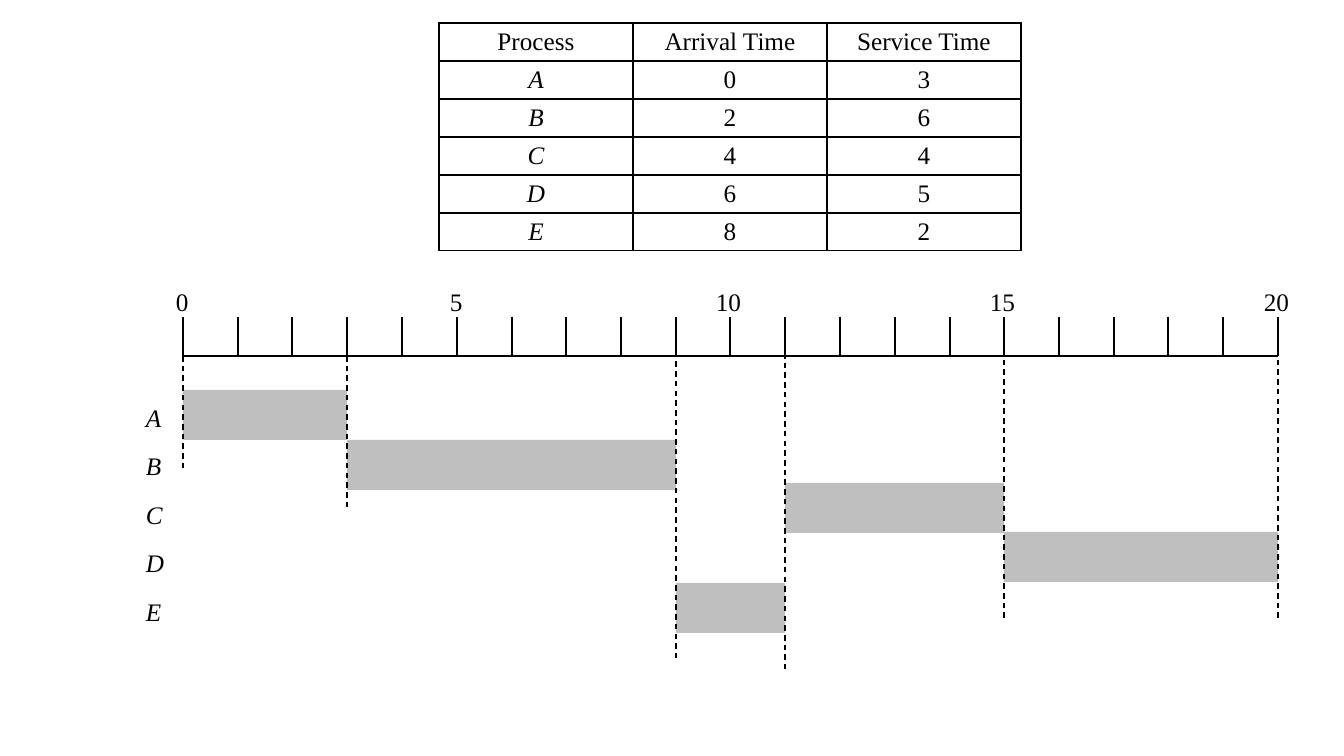
from lxml.etree import SubElement
from pptx import Presentation
from pptx.dml.color import RGBColor
from pptx.enum.dml import MSO_LINE
from pptx.enum.shapes import MSO_CONNECTOR, MSO_SHAPE
from pptx.enum.text import MSO_ANCHOR, PP_ALIGN
from pptx.oxml.ns import qn
from pptx.util import Pt

EMU_PER_PX = 914400 / 100.8
BLACK = "000000"
GREY = "BFBFBF"
FONT = "Times New Roman"

AXIS_LEFT, AXIS_RIGHT, AXIS_Y = 183, 1278, 356
TICK_TOP = 317
LAST_TIME = 20

PROCESSES = [
    ("Process", "Arrival Time", "Service Time"),
    ("A", "0", "3"),
    ("B", "2", "6"),
    ("C", "4", "4"),
    ("D", "6", "5"),
    ("E", "8", "2"),
]
RUNS = [(0, 3, 390), (3, 9, 440), (9, 11, 583), (11, 15, 483), (15, 20, 532)]
GUIDES = [
    (0, 356, 471),
    (3, 356, 507),
    (9, 342, 658),
    (11, 353, 669),
    (15, 350, 619),
    (20, 350, 622),
]


def px(length):
    return round(length * EMU_PER_PX)


def color(value):
    return RGBColor.from_string(value)


def time_x(time):
    return round(AXIS_LEFT + time * (AXIS_RIGHT - AXIS_LEFT) / LAST_TIME)


def write(frame, text, size=18, italic=False, align=PP_ALIGN.LEFT, fill=BLACK):
    paragraph = frame.paragraphs[0]
    paragraph.alignment = align
    run = paragraph.add_run()
    run.text = text
    run.font.name = FONT
    run.font.size = Pt(size)
    run.font.italic = italic
    run.font.color.rgb = color(fill)


def add_label(slide, text, left, top, width, height, **style):
    label = slide.shapes.add_textbox(px(left), px(top), px(width), px(height))
    label.text_frame.word_wrap = True
    write(label.text_frame, text, **style)


def add_line(slide, start, end, weight=1.5, dash=None):
    points = [px(value) for value in (*start, *end)]
    line = slide.shapes.add_connector(MSO_CONNECTOR.STRAIGHT, *points)
    line.line.color.rgb = color(BLACK)
    line.line.width = Pt(weight)
    if dash:
        line.line.dash_style = dash
    SubElement(line._element.spPr, qn("a:effectLst"))


def add_bar(slide, start, end, top):
    left, right = time_x(start), time_x(end)
    bar = slide.shapes.add_shape(
        MSO_SHAPE.RECTANGLE, px(left), px(top), px(right - left), px(50)
    )
    bar.shadow.inherit = False
    bar.fill.solid()
    bar.fill.fore_color.rgb = color(GREY)
    bar.line.fill.background()


def add_borders(cell):
    properties = cell._tc.get_or_add_tcPr()
    for position, side in enumerate(("lnL", "lnR", "lnT", "lnB")):
        border = properties.makeelement(qn(f"a:{side}"), {"w": str(Pt(1))})
        fill = SubElement(border, qn("a:solidFill"))
        SubElement(fill, qn("a:srgbClr"), val=BLACK)
        properties.insert(position, border)


def add_process_table(slide):
    rows, columns = len(PROCESSES), len(PROCESSES[0])
    frame = slide.shapes.add_table(
        rows, columns, px(439), px(23), px(194 * columns), px(38 * rows)
    )
    table = frame.table
    table.first_row = False
    table.horz_banding = False
    for column in table.columns:
        column.width = px(194)
    for row_index, values in enumerate(PROCESSES):
        table.rows[row_index].height = px(38)
        for column_index, value in enumerate(values):
            cell = table.cell(row_index, column_index)
            cell.fill.background()
            cell.margin_top = cell.margin_bottom = 0
            cell.vertical_anchor = MSO_ANCHOR.MIDDLE
            is_name = row_index > 0 and column_index == 0
            write(cell.text_frame, value, italic=is_name, align=PP_ALIGN.CENTER)
            add_borders(cell)


def add_time_axis(slide):
    add_line(slide, (AXIS_LEFT, AXIS_Y), (AXIS_RIGHT, AXIS_Y))
    for time in range(LAST_TIME + 1):
        x = time_x(time)
        add_line(slide, (x, TICK_TOP), (x, AXIS_Y))
        if time % 5 == 0:
            text = str(time)
            add_label(slide, text, x - 10 - 7 * len(text), 281, 48, 40)


def add_schedule(slide):
    for start, end, top in RUNS:
        add_bar(slide, start, end, top)
    for time, top, bottom in GUIDES:
        x = time_x(time)
        add_line(slide, (x, top), (x, bottom), weight=1, dash=MSO_LINE.DASH)
    for index, (name, *_) in enumerate(PROCESSES[1:]):
        add_label(slide, name, 136, round(397 + 48.4 * index), 58, 41, italic=True)


def main():
    deck = Presentation()
    deck.slide_width, deck.slide_height = px(1344), px(756)
    slide = deck.slides.add_slide(deck.slide_layouts[6])
    add_process_table(slide)
    add_time_axis(slide)
    add_schedule(slide)
    deck.save("out.pptx")


if __name__ == "__main__":
    main()
